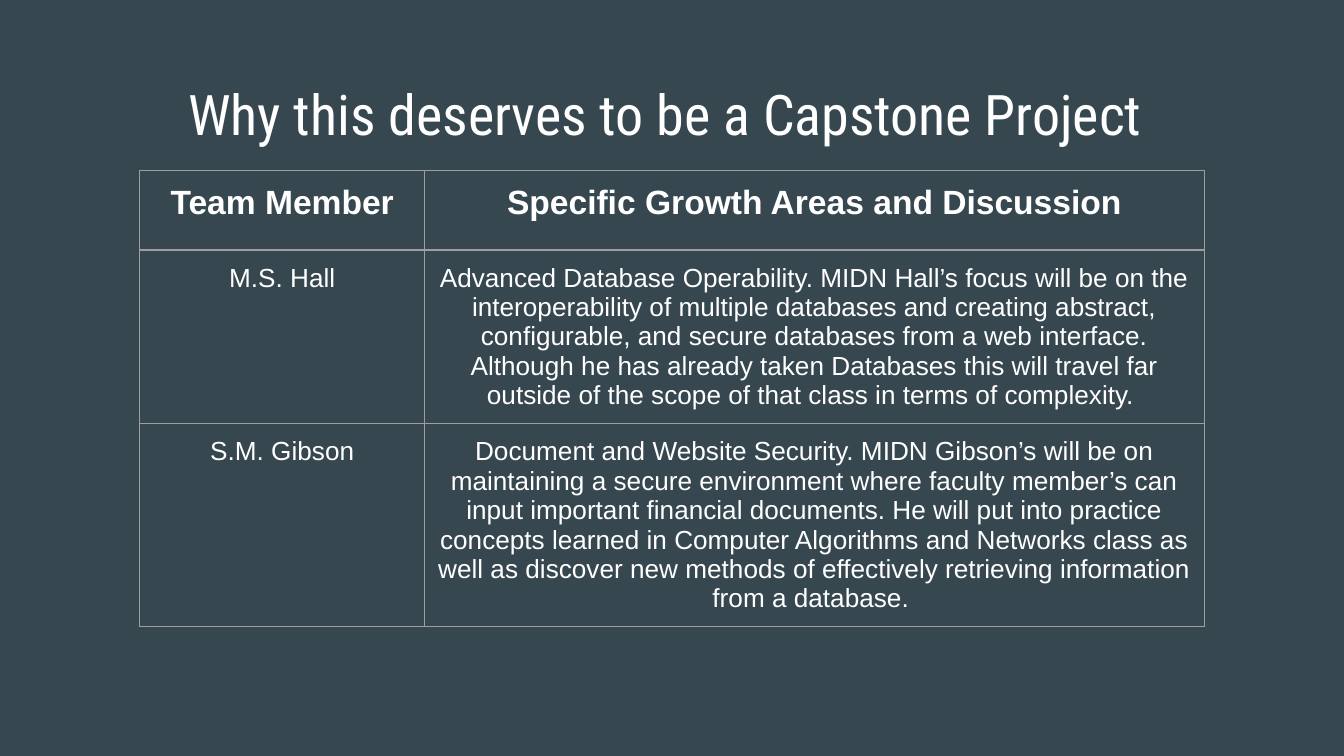
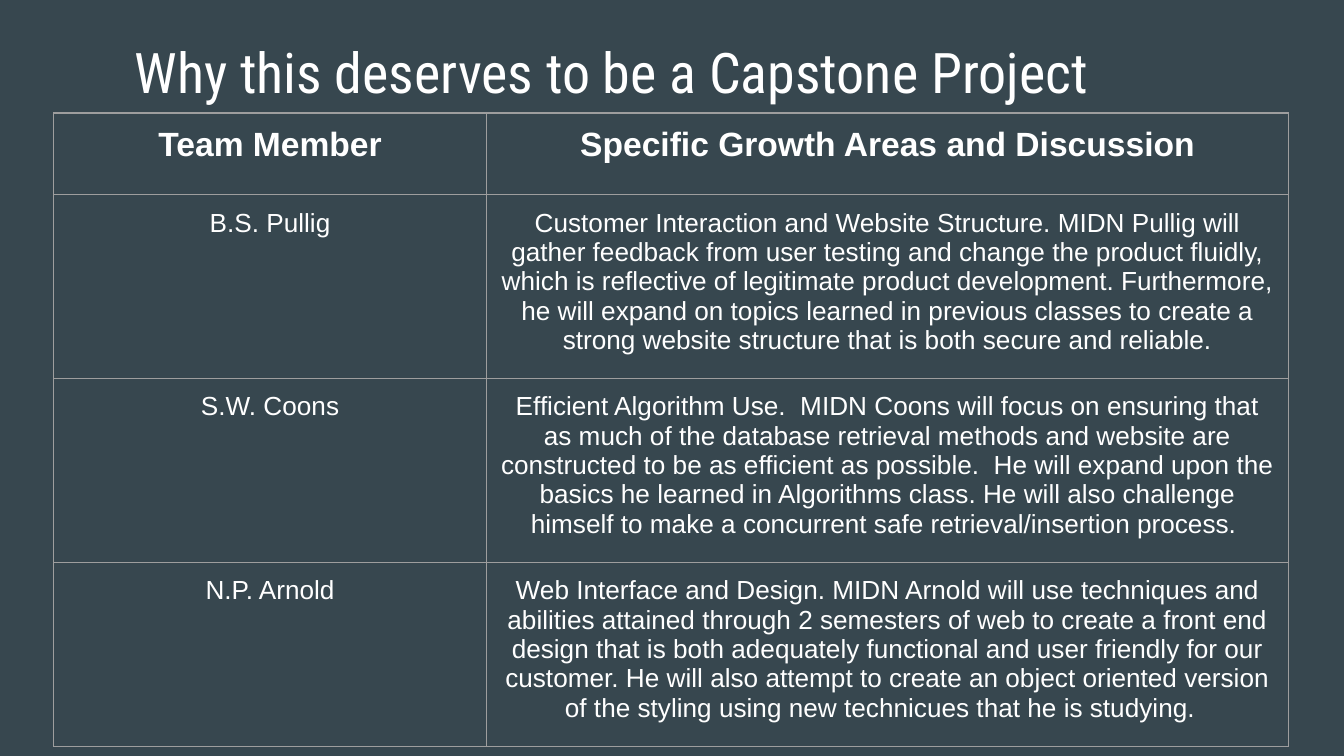
from pptx import Presentation
from pptx.util import Inches, Pt
from pptx.dml.color import RGBColor
from pptx.enum.text import PP_ALIGN as Align, MSO_ANCHOR as Anchor
from pptx.oxml import parse_xml
from pptx.oxml.ns import nsdecls

SLATE = RGBColor(0x37, 0x47, 0x4F)
WHITE = RGBColor(0xFF, 0xFF, 0xFF)
GRAY = RGBColor(0x9E, 0x9E, 0x9E)
PAD = Inches(0.1)
TITLE = "Why this deserves to be a Capstone Project"
HEAD = ("Team Member", "Specific Growth Areas and Discussion")

FIRST = [
    ("M.S. Hall",
     "Advanced Database Operability. MIDN Hall’s focus will be on the "
     "interoperability of multiple databases and creating abstract, "
     "configurable, and secure databases from a web interface. Although he "
     "has already taken Databases this will travel far outside of the scope "
     "of that class in terms of complexity. "),
    ("S.M. Gibson",
     "Document and Website Security. MIDN Gibson’s will be on maintaining a "
     "secure environment where faculty member’s can input important "
     "financial documents. He will put into practice concepts learned in "
     "Computer Algorithms and Networks class as well as discover new methods "
     "of effectively retrieving information from a database. "),
]
SECOND = [
    ("B.S. Pullig",
     "Customer Interaction and Website Structure. MIDN Pullig will gather "
     "feedback from user testing and change the product fluidly, which is "
     "reflective of legitimate product development. Furthermore, he will "
     "expand on topics learned in previous classes to create a strong "
     "website structure that is both secure and reliable."),
    ("S.W. Coons",
     "Efficient Algorithm Use.  MIDN Coons will focus on ensuring that as "
     "much of the database retrieval methods and website are constructed to "
     "be as efficient as possible.  He will expand upon the basics he "
     "learned in Algorithms class. He will also challenge himself to make a "
     "concurrent safe retrieval/insertion process. "),
    ("N.P. Arnold",
     "Web Interface and Design. MIDN Arnold will use techniques and "
     "abilities attained through 2 semesters of web to create a front end "
     "design that is both adequately functional and user friendly for our "
     "customer. He will also attempt to create an object oriented version of "
     "the styling using new technicues that he is studying.  "),
]


def style(para, face, size, bold=False):
    """Centre a paragraph and set its white font."""
    para.alignment = Align.CENTER
    font = para.font
    font.name, font.size, font.bold = face, Pt(size), bold
    font.color.rgb = WHITE


def add_title(slide, text, left, top, width, height):
    """Place the slide title in the given box."""
    box = slide.shapes.add_textbox(left, top, width, height)
    frame = box.text_frame
    frame.word_wrap = True
    frame.vertical_anchor = Anchor.TOP
    frame.margin_left = frame.margin_right = PAD
    frame.margin_top = frame.margin_bottom = PAD
    para = frame.paragraphs[0]
    para.text = text
    style(para, "Roboto Condensed", 30)
    if "\t" in text:
        para._p.get_or_add_pPr().insert(0, parse_xml(
            f'<a:tabLst {nsdecls("a")}>'
            f'<a:tab pos="{Inches(8)}" algn="l"/></a:tabLst>'))


def add_edges(cell):
    """Draw a thin gray line on all four sides of a cell."""
    props = cell._tc.get_or_add_tcPr()
    for spot, side in enumerate("LRTB"):
        props.insert(spot, parse_xml(
            f'<a:ln{side} {nsdecls("a")} w="{Pt(0.75)}"><a:solidFill>'
            f'<a:srgbClr val="{GRAY}"/></a:solidFill></a:ln{side}>'))


def fill_cell(cell, text, head):
    """Write one cell as heading or body."""
    cell.margin_left = cell.margin_right = PAD
    cell.margin_top = cell.margin_bottom = PAD
    cell.fill.background()
    add_edges(cell)
    para = cell.text_frame.paragraphs[0]
    para.text = text
    style(para, "Arial", 18 if head else 14, head)


def add_grid(slide, members, left, top, widths, heights):
    """Place the table of members under its heading row."""
    rows = [HEAD, *members]
    side = Inches(3.28)
    frame = slide.shapes.add_table(
        len(rows), len(HEAD), left, top, side, side)
    table = frame.table
    table.first_row = table.horz_banding = False
    for col, width in zip(table.columns, widths):
        col.width = Inches(width)
    for r, (row, height) in enumerate(zip(rows, heights)):
        table.rows[r].height = Inches(height)
        for c, text in enumerate(row):
            fill_cell(table.cell(r, c), text, r == 0)
    frame.width = frame.height = side


def add_page(deck, title, title_top, members, left, top, widths, heights):
    """Add a slide with a title and a table of members."""
    slide = deck.slides.add_slide(deck.slide_layouts[6])
    fill = slide.background.fill
    fill.solid()
    fill.fore_color.rgb = SLATE
    add_grid(slide, members, Inches(left), Inches(top), widths, heights)
    add_title(slide, title, Inches(0.34), Inches(title_top),
              Inches(9.32), Inches(0.63))


deck = Presentation()
deck.slide_width, deck.slide_height = Inches(10), Inches(10 * 9 / 16)
add_page(deck, TITLE + " ", 0.49, FIRST, 1.04, 1.27,
         (2.12, 5.8), (0.59, 1.16, 0.59))
add_page(deck, TITLE + "\t", 0.18, SECOND, 0.4, 0.84,
         (3.22, 5.97), (0.61, 1.05, 1.05, 1.05))
deck.save("out.pptx")
